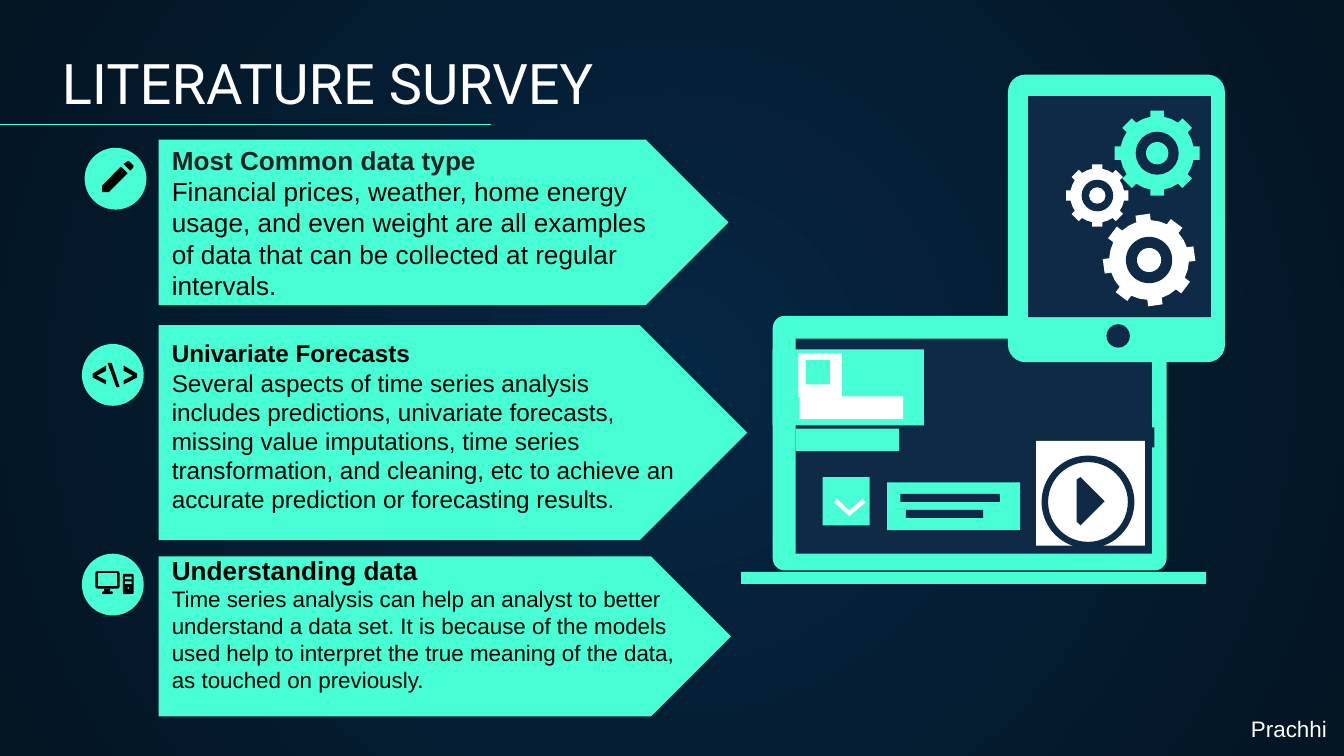
import math

import lxml.etree
import pptx
import pptx.dml.color
import pptx.enum.shapes
import pptx.enum.text
import pptx.oxml.ns
import pptx.util

RGB = pptx.dml.color.RGBColor
SHAPE = pptx.enum.shapes.MSO_SHAPE
ANCHOR = pptx.enum.text.MSO_ANCHOR
qn = pptx.oxml.ns.qn

MINT = RGB(0x48, 0xFF, 0xD5)
NAVY = RGB(0x0E, 0x2A, 0x47)
GLOW = RGB(0x05, 0x26, 0x43)
DARK = RGB(0x04, 0x15, 0x23)
CHARCOAL = RGB(0x22, 0x22, 0x22)
BLACK = RGB(0, 0, 0)
WHITE = RGB(255, 255, 255)

COLUMNS = 100


class Deck:
    def __init__(self):
        self.prs = pptx.Presentation()
        self.prs.slide_width = pptx.util.Inches(10)
        self.prs.slide_height = pptx.util.Inches(5.625)
        self.cell = self.prs.slide_width / COLUMNS
        self.s = self.prs.slides.add_slide(self.prs.slide_layouts[0])
        sub = self.s.placeholders[1].element
        sub.getparent().remove(sub)

    def grid(self, *cells):
        return [round(c * self.cell) for c in cells]

    def background(self, center, edge):
        fill = self.s.background.fill
        fill.gradient()
        for stop, color, position in zip(fill.gradient_stops, (center, edge), (0, 1)):
            stop.color.rgb = color
            stop.position = position
        grad = self.s.element.find(".//" + qn("a:gradFill"))
        grad.remove(grad.find(qn("a:lin")))
        circle = lxml.etree.SubElement(grad, qn("a:path"), path="circle")
        lxml.etree.SubElement(circle, qn("a:fillToRect"), l="50000", t="50000", r="50000", b="50000")

    def paint(self, sp, color):
        sp.shadow.inherit = False
        sp.fill.solid()
        sp.fill.fore_color.rgb = color
        sp.line.fill.background()
        return sp

    def shape(self, kind, box, color, adjust=None):
        sp = self.s.shapes.add_shape(kind, *self.grid(*box))
        if adjust is not None:
            sp.adjustments[0] = adjust
        return self.paint(sp, color)

    def rect(self, box, color):
        return self.shape(SHAPE.RECTANGLE, box, color)

    def rounded(self, box, color, radius):
        return self.shape(SHAPE.ROUNDED_RECTANGLE, box, color, radius / min(box[2:]))

    def disc(self, x, y, radius, color):
        return self.shape(SHAPE.OVAL, (x - radius, y - radius, 2 * radius, 2 * radius), color)

    def outline(self, color, *contours):
        first, *rest = [[self.grid(*pt) for pt in c] for c in contours]
        builder = self.s.shapes.build_freeform(*first[0])
        builder.add_line_segments(first[1:])
        for contour in rest:
            builder.move_to(*contour[0])
            builder.add_line_segments(contour[1:])
        return self.paint(builder.convert_to_shape(), color)

    def gear(self, x, y, radius, tooth, color, tilt=0):
        body = radius * 0.86
        root, tip = math.asin(tooth / body), math.asin(tooth / radius)
        profile = [(body, -root), (radius, -tip), (radius, tip), (body, root), (body, math.pi / 8)]
        pts = []
        for k in range(8):
            turn = k * math.pi / 4 + math.radians(tilt)
            pts += [(x + d * math.cos(a + turn), y + d * math.sin(a + turn)) for d, a in profile]
        self.outline(color, pts)
        self.disc(x, y, radius * 0.5, NAVY)
        self.disc(x, y, radius * 0.26, color)

    def rule(self, x1, y1, x2, y2, color):
        line = self.s.shapes.add_connector(
            pptx.enum.shapes.MSO_CONNECTOR.STRAIGHT, *self.grid(x1, y1, x2, y2))
        line.line.color.rgb = color
        line.line.width = pptx.util.Pt(0.75)
        lxml.etree.SubElement(line.element.spPr, qn("a:effectLst"))

    def run(self, p, text, size, color, font="Arial", bold=False):
        p.alignment = pptx.enum.text.PP_ALIGN.LEFT
        r = p.add_run()
        r.text = text
        r.font.name, r.font.size, r.font.bold = font, pptx.util.Pt(size), bold
        r.font.color.rgb = color

    def frame(self, sp, anchor, bottom=1):
        tf = sp.text_frame
        tf.word_wrap = True
        tf.auto_size = pptx.enum.text.MSO_AUTO_SIZE.NONE
        tf.vertical_anchor = anchor
        tf.margin_left, tf.margin_top, tf.margin_right, tf.margin_bottom = self.grid(1, 1, 1, bottom)
        return tf

    def title(self, box, text):
        sp = self.s.shapes.title
        sp.left, sp.top, sp.width, sp.height = self.grid(*box)
        self.run(self.frame(sp, ANCHOR.BOTTOM).paragraphs[0], text, 30, WHITE, "Roboto")

    def arrow(self, box, head, body, anchor, bottom=1):
        tf = self.frame(self.shape(SHAPE.PENTAGON, box, MINT, 0.5), anchor, bottom)
        self.run(tf.paragraphs[0], *head, bold=True)
        self.run(tf.add_paragraph(), *body)

    def label(self, box, text):
        sp = self.s.shapes.add_textbox(*self.grid(*box))
        sp.text_frame.word_wrap = True
        self.run(sp.text_frame.paragraphs[0], text, 12, WHITE)


def draw_icons(d):
    for x, y in ((8.6, 13.3), (8.4, 27.9), (8.4, 43.5)):
        d.disc(x, y, 2.3, MINT)
    d.outline(BLACK,
              [(9.5, 12), (9.2, 12.2), (9.7, 12.7), (9.9, 12.5), (9.95, 12.35), (9.6, 12)],
              [(9, 12.4), (7.6, 13.8), (7.6, 14.3), (8.1, 14.3), (9.5, 12.9)])
    chevron = [(7.9, 28.6), (6.9, 28.1), (6.9, 27.8), (7.9, 27.2), (7.9, 27.6), (7.2, 27.95), (7.9, 28.3)]
    d.outline(BLACK, chevron)
    d.outline(BLACK, [(17.1 - x, y) for x, y in chevron])
    d.outline(BLACK, [(8, 27), (8.3, 27), (8.9, 28.8), (8.65, 28.8)])
    d.rounded((7.1, 42.5, 1.8, 1.3), BLACK, 0.15)
    d.rect((7.3, 42.65, 1.4, 0.95), MINT)
    d.rect((7.75, 43.8, 0.45, 0.25), BLACK)
    d.rounded((7.6, 44, 0.8, 0.2), BLACK, 0.1)
    d.rounded((9.15, 42.7, 0.8, 1.5), BLACK, 0.1)
    for y in (42.9, 43.25):
        d.rect((9.3, y, 0.5, 0.2), MINT)
    d.disc(9.55, 43.75, 0.06, MINT)


def draw_laptop(d):
    d.rounded((57.5, 23.5, 29.3, 18.95), MINT, 0.9)
    for box, color in (
        ((59.2, 25.2, 26.5, 16), NAVY),
        ((55.15, 42.55, 34.6, 0.9), MINT),
        ((59.4, 31.8, 26.5, 1.5), NAVY),
        ((57.5, 26, 11.25, 5.65), MINT),
        ((59.4, 26.3, 3.25, 3.25), WHITE),
        ((66, 35.9, 9.9, 3.55), MINT),
        ((67, 36.75, 7.4, 0.6), NAVY),
        ((67.4, 37.95, 5.75, 0.6), NAVY),
        ((61.2, 35.5, 3.5, 3.6), MINT),
        ((59.2, 31.9, 7.7, 1.65), MINT),
        ((59.5, 29.5, 7.7, 1.7), WHITE),
        ((59.95, 26.8, 1.8, 1.8), MINT),
        ((77.1, 32.8, 8.1, 7.8), WHITE),
    ):
        d.rect(box, color)
    d.outline(WHITE, [(62.1, 37.4), (62.25, 37.1), (63.2, 38), (64.2, 37.1), (64.4, 37.4), (63.2, 38.4)])
    d.shape(SHAPE.DONUT, (77.5, 33.9, 6.9, 6.9), NAVY, 0.07)
    d.outline(NAVY, [(80.1, 35.7), (80.4, 35.5), (82.2, 37.3), (80.4, 39.1), (80.1, 38.8)])


def draw_tablet(d):
    d.rounded((75, 5.55, 16.15, 21.4), MINT, 1.3)
    d.rect((76.5, 7.15, 13.6, 16.45), NAVY)
    d.disc(83.2, 25, 0.87, NAVY)
    d.gear(86.1, 11.4, 3.2, 0.5, MINT)
    d.gear(81.65, 14.55, 2.35, 0.38, WHITE)
    d.gear(85.5, 19.35, 3.45, 0.54, WHITE, -8)


def main():
    d = Deck()
    d.background(GLOW, DARK)
    d.arrow((11.8, 41.4, 42.6, 11.9), ("Understanding data", 14, BLACK),
            ("Time series analysis can help an analyst to better understand a data set. It is because of the "
             "models used help to interpret the true meaning of the data, as touched on previously.", 12, BLACK),
            ANCHOR.MIDDLE, bottom=2.9)
    d.arrow((11.8, 24.2, 43.8, 16), ("Univariate Forecasts", 13, BLACK),
            ("Several aspects of time series analysis includes predictions, univariate forecasts, missing value "
             "imputations, time series transformation, and cleaning, etc to achieve an accurate prediction or "
             "forecasting results.", 13, BLACK), ANCHOR.TOP)
    d.arrow((11.8, 10.4, 42.4, 12.3), ("Most Common data type", 14, CHARCOAL),
            ("Financial prices, weather, home energy usage, and even weight are all examples of data that can "
             "be collected at regular intervals.", 14, BLACK), ANCHOR.MIDDLE)
    d.title((3.6, 3, 85.7, 6.6), "LITERATURE SURVEY")
    d.rule(0, 9.25, 36.5, 9.25, MINT)
    draw_icons(d)
    draw_laptop(d)
    draw_tablet(d)
    d.label((92.1, 52.7, 8.3, 3), "Prachhi")
    d.prs.save("out.pptx")


if __name__ == "__main__":
    main()
